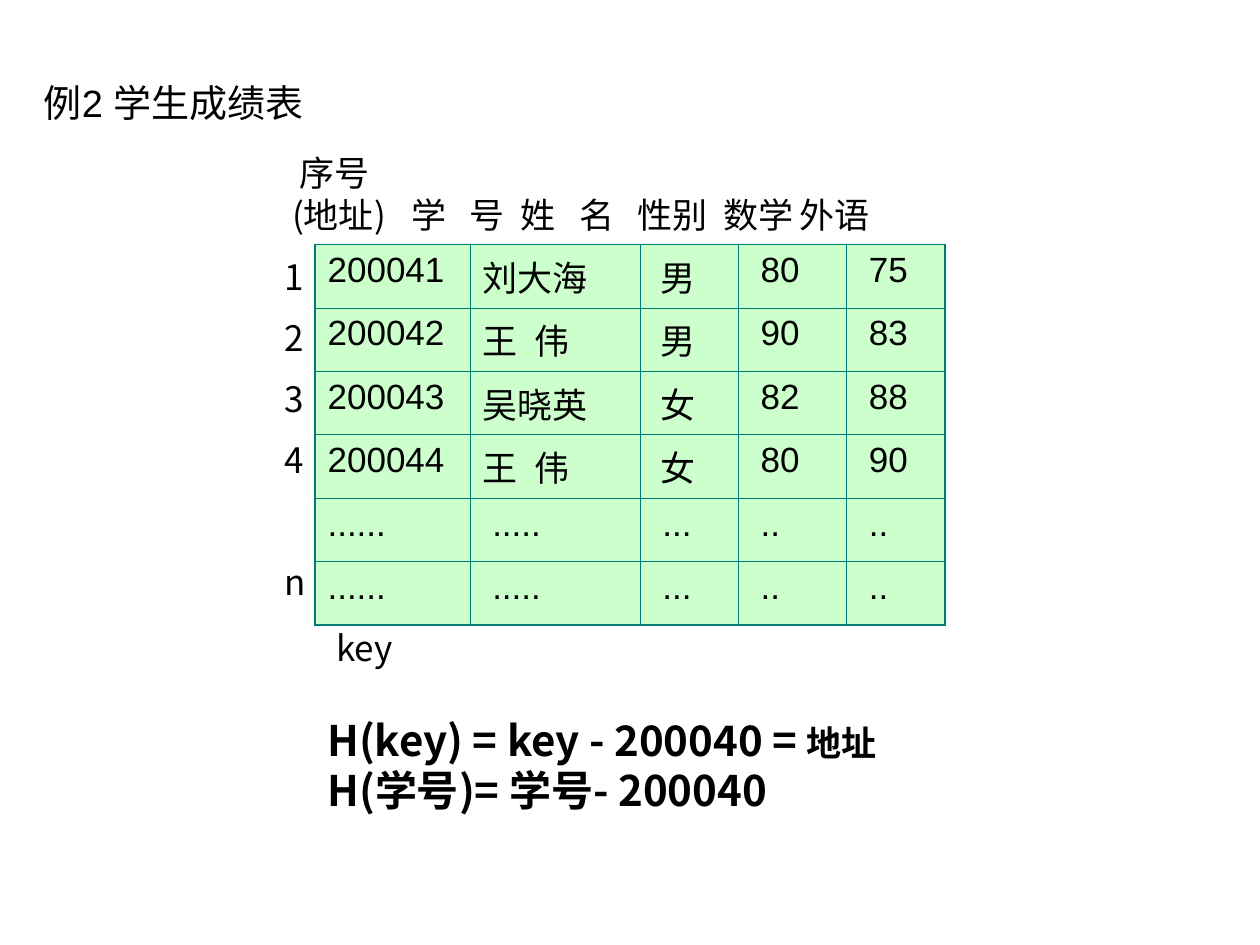
from dataclasses import dataclass
from typing import Any
from pptx import Presentation
from pptx.dml.color import RGBColor as RGB
from pptx.enum.text import MSO_AUTO_SIZE as Fit
from pptx.oxml.ns import qn
from pptx.oxml.xmlchemy import OxmlElement as Node
from pptx.util import Inches, Pt

UNIT = 0.25  # the slide is a grid of 40 columns by 30 rows


def grid(n):
    return Inches(n * UNIT)


def color(code):
    return RGB.from_string(code)


@dataclass
class Board:
    slide: Any
    ink: str = "000000"
    mint: str = "CCFFCC"
    teal: str = "007A77"
    sans: str = "Noto Sans CJK SC"
    thin: float = 0.45
    thick: float = 1.08

    def run(self, par, words, size=20, font=None, bold=False):
        run = par.add_run()
        run.text = words
        face = run.font
        face.size, face.bold, face.name = Pt(size), bold, font or self.sans
        face.color.rgb = color(self.ink)
        east = Node("a:ea")
        east.set("typeface", self.sans)
        face._element.find(qn("a:latin")).addnext(east)

    def tabs(self, par, stops):
        props = par._p.get_or_add_pPr()
        tabs = Node("a:tabLst")
        for stop in stops:
            tab = Node("a:tab")
            tab.set("pos", str(Inches(stop)))
            tab.set("algn", "l")
            tabs.append(tab)
        props.append(tabs)

    def text(self, box, lines, wrap=True, grow=True):
        """Each line is a list of (words, style) runs; gives the paragraphs."""
        frame = self.slide.shapes.add_textbox(*map(grid, box)).text_frame
        frame.word_wrap = wrap
        frame.auto_size = Fit.SHAPE_TO_FIT_TEXT if grow else Fit.NONE
        for i, line in enumerate(lines):
            par = frame.add_paragraph() if i else frame.paragraphs[0]
            for words, style in line:
                self.run(par, words, **style)
        return frame.paragraphs

    def edge(self, cell, sides):
        props = cell._tc.get_or_add_tcPr()
        for i, (side, outer) in enumerate(sides):
            line = Node("a:ln" + side)
            line.set("w", str(Pt(self.thick if outer else self.thin)))
            fill, tone = Node("a:solidFill"), Node("a:srgbClr")
            tone.set("val", self.teal)
            fill.append(tone)
            line.append(fill)
            props.insert(i, line)

    def table(self, left, top, cols, high, rows):
        size = len(rows), len(cols)
        table = self.slide.shapes.add_table(
            *size, grid(left), grid(top), grid(sum(cols)), grid(high * len(rows))).table
        table.first_row = table.horz_banding = False
        for col, wide in zip(table.columns, cols):
            col.width = grid(wide)
        for r, row in enumerate(rows):
            table.rows[r].height = grid(high)
            for c, words in enumerate(row):
                cell = table.cell(r, c)
                cell.fill.solid()
                cell.fill.fore_color.rgb = color(self.mint)
                self.edge(cell, [("L", c == 0), ("R", c == size[1] - 1),
                                 ("T", r == 0), ("B", r == size[0] - 1)])
                par = cell.text_frame.paragraphs[0]
                if "\t" in words:
                    self.tabs(par, [0.41])
                self.run(par, words, font="Arial")


deck = Presentation()
deck.slide_width, deck.slide_height = grid(40), grid(30)
board = Board(deck.slides.add_slide(deck.slide_layouts[6]))

# Title
title = board.text((1, 2.32, 37, 2), [[("例2 学生成绩表", {"size": 21.7, "font": "Arial"})]],
                   grow=False)
title[0].space_before = Pt(7)

# Score table
dots = ["......", " .....", " ...", " ..", " .."]
board.table(10, 7.76, [4.92, 5.4, 3.12, 3.44, 3.12], 2.01, [
    ["200041", "刘大海", " 男", " 80", " 75"],
    ["200042", "王\t伟", " 男", " 90", " 83"],
    ["200043", "吴晓英", " 女", " 82", " 88"],
    ["200044", "王\t伟", " 女", " 80", " 90"],
    dots,
    dots,
])

# Row addresses, with one row skipped before n
marks = board.text((8.64, 7.32, 1.72, 12), [[(mark, {})] for mark in "1234n"], wrap=False)
for mark in marks:
    mark.line_spacing = 1.45
marks[-1].space_before = Pt(35)

# Key label
board.text((10.28, 19.68, 2.6, 1.76), [[("key", {})]], wrap=False)

# Column heads
heads = board.text((8.88, 4.6, 19.6, 3.08), [
    [(" 序号", {})],
    [("(地址)\t学\t号\t姓\t名\t性别\t数学\t外语", {})],
])
board.tabs(heads[1], [0.95, 1.41, 1.81, 2.28, 2.74, 3.42, 4.03])

# Hash formulas
strong = {"size": 24, "bold": True}
board.text((10, 22.48, 20, 3.6), [
    [("H(key) = key - 200040 = ", strong), ("地址", {"bold": True})],
    [("H(学号)= 学号- 200040", strong)],
])

deck.save("out.pptx")
